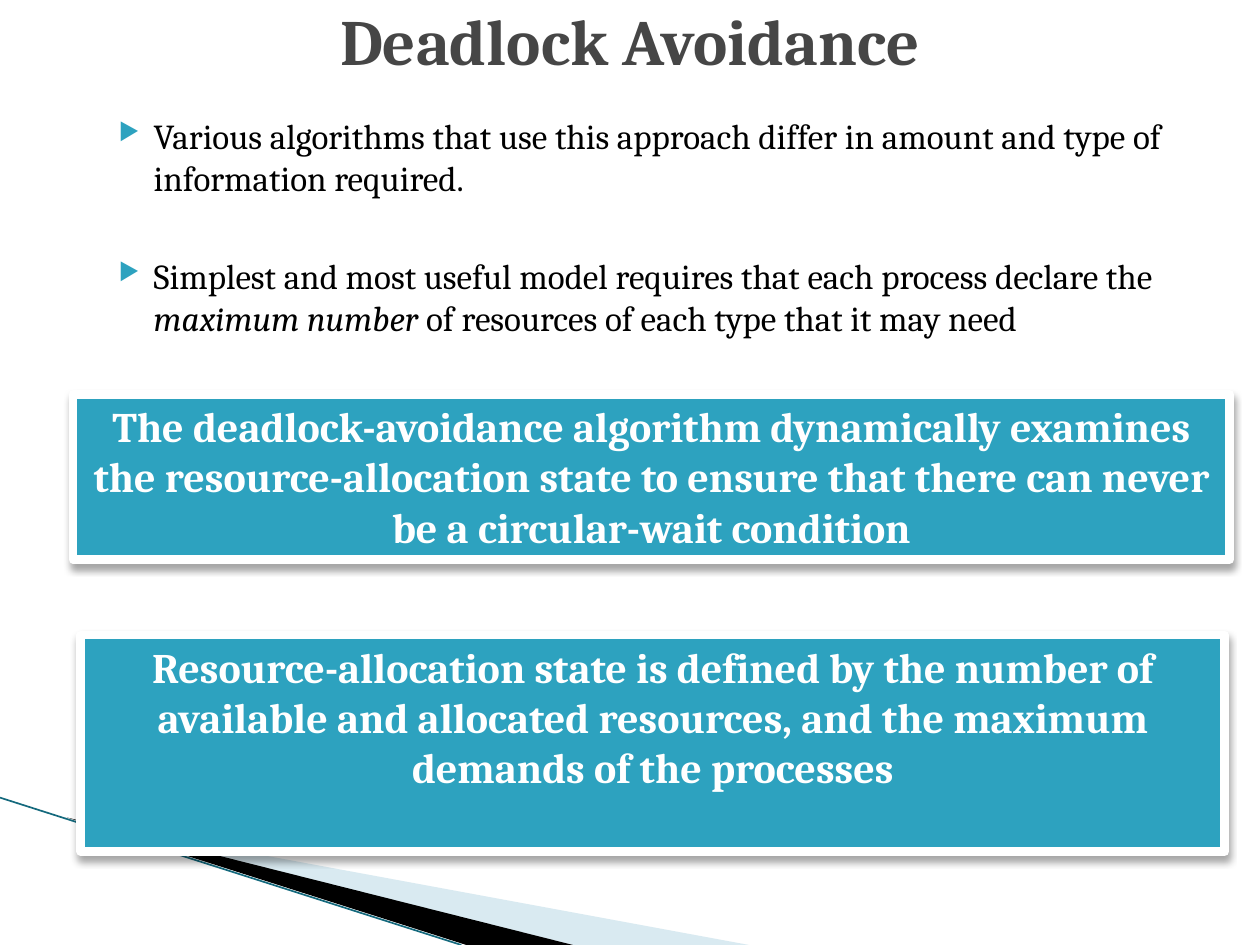
from lxml import etree
from pptx import Presentation
from pptx.dml.color import RGBColor
from pptx.enum.shapes import MSO_CONNECTOR, MSO_SHAPE
from pptx.enum.text import MSO_ANCHOR, PP_ALIGN
from pptx.oxml import parse_xml
from pptx.oxml.ns import nsdecls, qn
from pptx.util import Cm, Pt

STRAIGHT = MSO_CONNECTOR.STRAIGHT
RECTANGLE = MSO_SHAPE.RECTANGLE
MIDDLE, TOP = MSO_ANCHOR.MIDDLE, MSO_ANCHOR.TOP
CENTER = PP_ALIGN.CENTER

FONT = "Cambria"
COLORS = {
    "title": "464646",
    "text": "000000",
    "accent": "2DA2BF",
    "white": "FFFFFF",
    "pale": "A0CBDC",
    "black": "000000",
    "edge": "14697D",
}


def color(name):
    return RGBColor.from_string(COLORS[name])


def add_run(paragraph, text, size, color_name, bold=False, italic=False):
    run = paragraph.add_run()
    run.text = text
    font = run.font
    font.name, font.size, font.bold, font.italic = FONT, Pt(size), bold, italic
    font.color.rgb = color(color_name)


def add_wedge(slide, points, color_name, alpha=100):
    """Draw a borderless polygon from points in centimetres."""
    corners = [(Cm(x), Cm(y)) for x, y in points]
    builder = slide.shapes.build_freeform(*corners[0])
    builder.add_line_segments(corners[1:], close=True)
    shape = builder.convert_to_shape()
    shape.shadow.inherit = False
    shape.fill.solid()
    shape.fill.fore_color.rgb = color(color_name)
    shape.line.fill.background()
    if alpha < 100:
        value = shape.fill._xPr.find(".//" + qn("a:srgbClr"))
        etree.SubElement(value, qn("a:alpha")).set("val", str(alpha * 1000))


def add_edge_line(slide, start, end):
    line = slide.shapes.add_connector(STRAIGHT, *map(Cm, start + end))
    line.line.color.rgb = color("edge")
    line.line.width = Pt(0.95)
    etree.SubElement(line._element.spPr, qn("a:effectLst"))


def add_text_frame(slide, left, top, width, height, anchor):
    box = slide.shapes.add_textbox(Cm(left), Cm(top), Cm(width), Cm(height))
    frame = box.text_frame
    frame.word_wrap = True
    frame.vertical_anchor = anchor
    return frame


def add_title(slide, text):
    paragraph = add_text_frame(slide, 0, 0, 25.4, 1.6, MIDDLE).paragraphs[0]
    paragraph.alignment = CENTER
    add_run(paragraph, text, 36.9, "title", bold=True)


def set_bullet(paragraph):
    properties = paragraph._p.get_or_add_pPr()
    properties.set("marL", str(Cm(1.02)))
    properties.set("indent", str(Cm(-0.71)))
    for xml in (
        f'<a:buClr {nsdecls("a")}><a:srgbClr val="{COLORS["accent"]}"/></a:buClr>',
        f'<a:buSzPct {nsdecls("a")} val="68000"/>',
        f'<a:buChar {nsdecls("a")} char="▶"/>',
    ):
        properties.append(parse_xml(xml))


def add_bullets(slide, items):
    """Each item is a list of (text, italic) pieces."""
    frame = add_text_frame(slide, 1.83, 2.18, 22.15, 6.3, TOP)
    for index, pieces in enumerate(items):
        paragraph = frame.add_paragraph() if index else frame.paragraphs[0]
        set_bullet(paragraph)
        if index:
            paragraph.space_before = Pt(32)
        for text, italic in pieces:
            add_run(paragraph, text, 20, "text", italic=italic)


def add_callout(slide, left, top, width, height, text):
    shape = slide.shapes.add_shape(RECTANGLE, Cm(left), Cm(top), Cm(width), Cm(height))
    shape.fill.solid()
    shape.fill.fore_color.rgb = color("accent")
    shape.line.color.rgb = color("white")
    shape.line.width = Pt(5)
    shape._element.spPr.append(parse_xml(
        f'<a:effectLst {nsdecls("a")}>'
        f'<a:outerShdw blurRad="{Pt(4)}" dist="{Pt(3)}" dir="5400000" rotWithShape="0">'
        f'<a:srgbClr val="{COLORS["black"]}"><a:alpha val="35000"/></a:srgbClr>'
        '</a:outerShdw></a:effectLst>'))
    frame = shape.text_frame
    frame.word_wrap = True
    frame.vertical_anchor = TOP
    paragraph = frame.paragraphs[0]
    paragraph.alignment = CENTER
    add_run(paragraph, text, 24, "white", bold=True)


def main():
    presentation = Presentation()
    presentation.slide_width, presentation.slide_height = Cm(25.4), Cm(19.05)
    slide = presentation.slides.add_slide(presentation.slide_layouts[6])

    add_wedge(slide, [(1.4, 16.52), (15.1, 19.05), (11.55, 19.05)], "pale", alpha=40)
    add_wedge(slide, [(1.35, 16.48), (11.55, 19.05), (9.4, 19.05)], "black")
    add_edge_line(slide, (0, 16.08), (9.3, 19.05))

    add_bullets(slide, [
        [("Various algorithms that use this approach differ in amount and type "
          "of information required.", False)],
        [("Simplest and most useful model requires that each process declare the ", False),
         ("maximum number", True),
         (" of resources of each type that it may need", False)],
    ])
    add_title(slide, "Deadlock Avoidance")
    add_callout(slide, 1.47, 7.95, 23.32, 3.33,
                "The deadlock-avoidance algorithm dynamically examines the "
                "resource-allocation state to ensure that there can never be a "
                "circular-wait condition")
    add_callout(slide, 1.63, 12.8, 23.06, 4.37,
                "Resource-allocation state is defined by the number of available "
                "and allocated resources, and the maximum demands of the processes")

    presentation.save("out.pptx")


if __name__ == "__main__":
    main()
